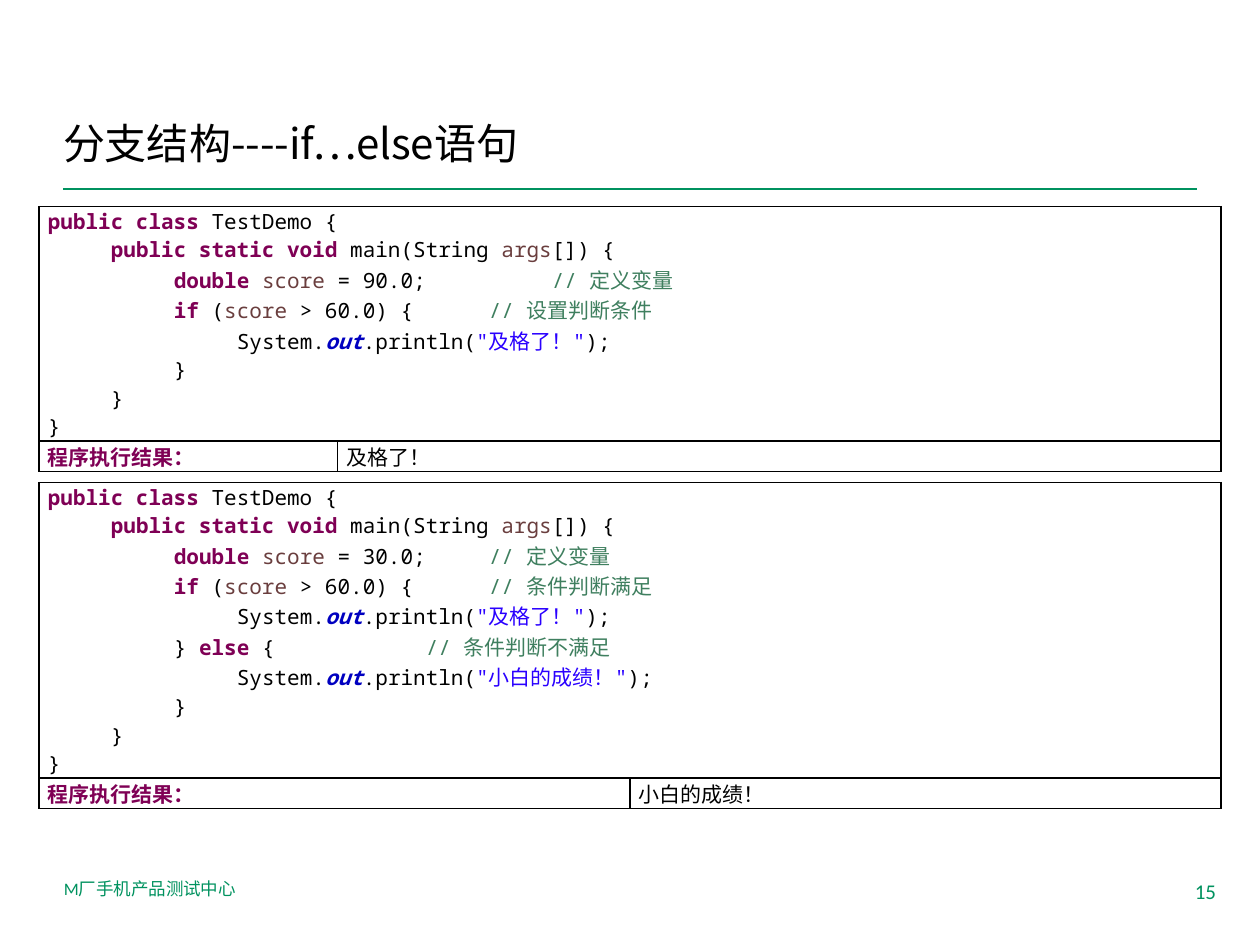
from lxml.etree import SubElement
from pptx import Presentation
from pptx.dml.color import RGBColor
from pptx.enum.shapes import MSO_CONNECTOR
from pptx.enum.text import MSO_ANCHOR, PP_ALIGN
from pptx.oxml import parse_xml
from pptx.oxml.ns import nsdecls, qn
from pptx.util import Inches, Pt

BLACK = RGBColor(0x00, 0x00, 0x00)
GREEN = RGBColor(0x00, 0x92, 0x5F)
PLUM = RGBColor(0x7F, 0x00, 0x55)
BROWN = RGBColor(0x6A, 0x3E, 0x3E)
NAVY = RGBColor(0x00, 0x00, 0xC0)
BLUE = RGBColor(0x2A, 0x00, 0xFF)
MOSS = RGBColor(0x3F, 0x7F, 0x5F)
SANS, MONO, BODY = "Noto Sans CJK SC", "Noto Sans Mono", "Calibri"

# Content: "|" separates differently coloured pieces of a code line
TITLE = "分支结构----if…else语句"
FOOTER, NUMBER = "M厂手机产品测试中心", "15"
LABEL = "程序执行结果："
HEAD = ["public class| TestDemo {",
        "\t|public static void| main(String |args|[]) {"]
PASS = '\t\t\tSystem.|out|.println(|"及格了！"|);'
TAIL = ["\t\t}", "\t}", "}"]
DEMOS = [
    dict(top=1.64, height=1.8, cols=(2.37, 7.01), result="及格了！", code=[
        *HEAD,
        "\t\t|double |score| = 90.0;\t\t|// 定义变量",
        "\t\t|if| (|score| > 60.0) {\t\t|// 设置判断条件",
        PASS, *TAIL]),
    dict(top=3.83, height=2.4, cols=(4.69, 4.69), result="小白的成绩！", code=[
        *HEAD,
        "\t\t|double |score| = 30.0; \t|// 定义变量",
        "\t\t|if| (|score| > 60.0) { \t|// 条件判断满足",
        PASS,
        "\t\t} |else| { \t\t\t|// 条件判断不满足",
        '\t\t\tSystem.|out|.println(|"小白的成绩！"|);',
        *TAIL]),
]
LEFT, ROW, TAB = 0.31, 0.22, 0.5

# Colour, bold and italic by word
WORDS = {"args": (BROWN, False, False), "score": (BROWN, False, False),
         "out": (NAVY, True, True)}
for word in ("public class", "public static void", "double ", "if", "else", LABEL):
    WORDS[word] = (PLUM, True, False)


def style(piece):
    if piece.startswith("//"):
        return MOSS, False, False
    if piece.startswith('"'):
        return BLUE, False, False
    return WORDS.get(piece, (BLACK, False, False))


def write(cell, lines):
    frame = cell.text_frame
    for i, line in enumerate(lines):
        para = frame.add_paragraph() if i else frame.paragraphs[0]
        para.font.size, para.font.name = Pt(12), MONO
        para._p.get_or_add_pPr().set("defTabSz", str(Inches(TAB)))
        for piece in line.split("|"):
            run = para.add_run()
            run.text, font = piece, run.font
            font.size, font.name = Pt(12), MONO
            font.color.rgb, font.bold, font.italic = style(piece)


def dress(cell):
    cell.margin_left = cell.margin_right = Inches(0.07)
    cell.margin_top = cell.margin_bottom = 0
    cell.fill.background()
    props = cell._tc.get_or_add_tcPr()
    for i, side in enumerate("LRTB"):
        props.insert(i, parse_xml(
            f'<a:ln{side} w="{Pt(1)}" {nsdecls("a")}><a:solidFill>'
            f'<a:srgbClr val="{BLACK}"/></a:solidFill></a:ln{side}>'))


def demo(slide, top, height, cols, result, code):
    table = slide.shapes.add_table(
        2, 2, Inches(LEFT), Inches(top), Inches(sum(cols)), Inches(height)).table
    table.first_row = table.horz_banding = False
    for col, width in zip(table.columns, cols):
        col.width = Inches(width)
    for row, size in zip(table.rows, (height - ROW, ROW)):
        row.height = Inches(size)
    for cell in table.iter_cells():
        dress(cell)
    table.cell(0, 0).merge(table.cell(0, 1))
    write(table.cell(0, 0), code)
    write(table.cell(1, 0), [LABEL])
    write(table.cell(1, 1), [result])


def note(slide, text, left, width, size, align):
    box = slide.shapes.add_textbox(Inches(left), Inches(6.92), Inches(width), Inches(0.4))
    box.text_frame.word_wrap = True
    para = box.text_frame.paragraphs[0]
    para.text, para.alignment = text, align
    para.font.size, para.font.name = Pt(size), BODY
    para.font.color.rgb = GREEN


def main():
    deck = Presentation()
    deck.slide_width, deck.slide_height = Inches(10), Inches(7.5)
    slide = deck.slides.add_slide(deck.slide_layouts[5])

    # Title and the rule below it
    title = slide.shapes.title
    title.left, title.top, title.width, title.height = map(Inches, (0.5, 0.81, 9, 0.64))
    frame = title.text_frame
    frame.margin_left, frame.vertical_anchor = 0, MSO_ANCHOR.MIDDLE
    para = frame.paragraphs[0]
    para.text, para.alignment = TITLE, PP_ALIGN.LEFT
    font = para.runs[0].font
    font.size, font.name, font.color.rgb = Pt(24), SANS, BLACK
    SubElement(font._element, qn("a:ea")).set("typeface", SANS)
    rule = slide.shapes.add_connector(
        MSO_CONNECTOR.STRAIGHT, Inches(0.5), Inches(1.5), Inches(9.5), Inches(1.5))
    rule.line.color.rgb, rule.line.width = GREEN, Pt(1)
    SubElement(rule._element.spPr, qn("a:effectLst"))

    # Code tables
    for item in DEMOS:
        demo(slide, **item)

    # Footer
    note(slide, FOOTER, 0.41, 3.17, 10, PP_ALIGN.LEFT)
    note(slide, NUMBER, 9.31, 0.44, 12, PP_ALIGN.RIGHT)
    deck.save("out.pptx")


if __name__ == "__main__":
    main()
